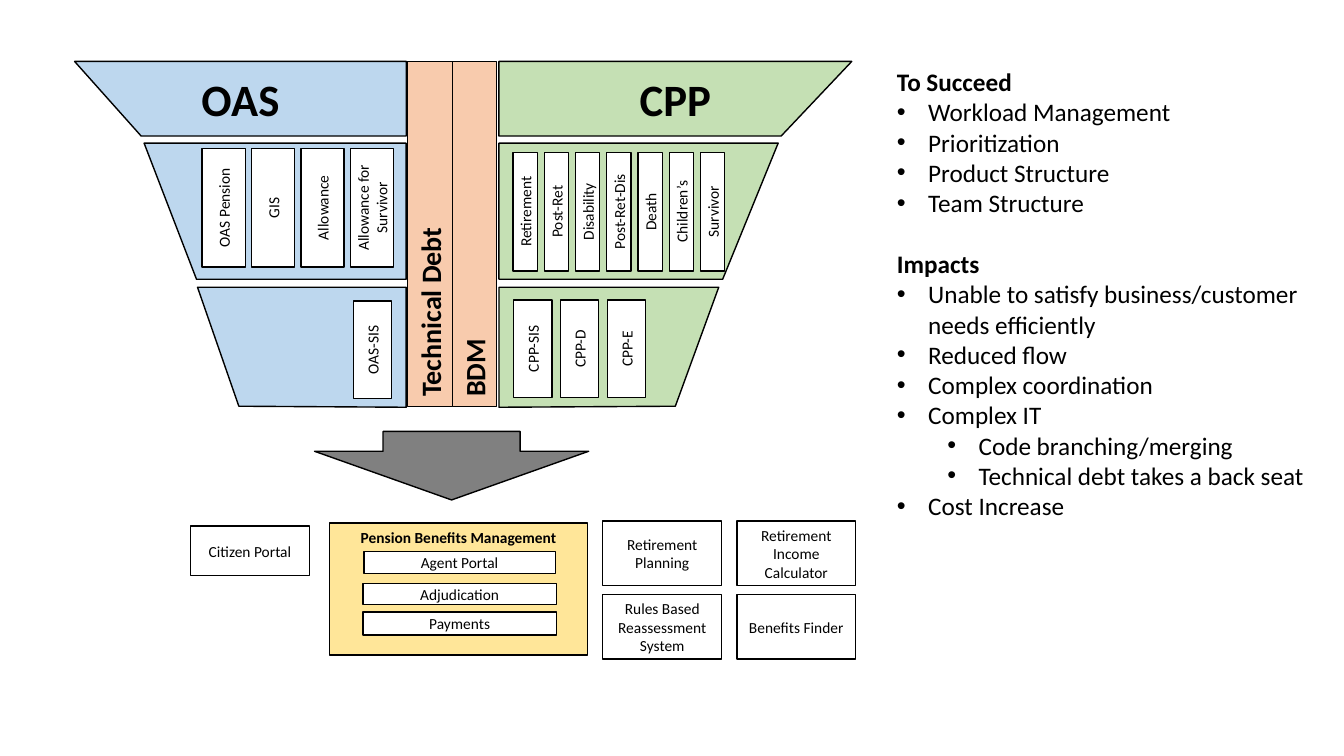
from dataclasses import dataclass

from lxml.etree import SubElement
from pptx import Presentation
from pptx.dml.color import RGBColor
from pptx.enum.shapes import MSO_SHAPE as Shp
from pptx.enum.text import MSO_ANCHOR as Anchor, MSO_AUTO_SIZE as AutoSize, PP_ALIGN as Align
from pptx.oxml.ns import qn
from pptx.util import Emu, Inches, Pt


@dataclass(frozen=True)
class Theme:
    font: str = "Calibri"
    ink: str = "000000"
    paper: str = "FFFFFF"
    oas: str = "BDD7EE"
    cpp: str = "C5E0B4"
    debt: str = "F8CBAD"
    arrow: str = "808080"
    pension: str = "FFE699"
    title: int = 32
    spine: int = 20
    body: int = 18
    label: int = 11


T = Theme()

# Grid: square cells, 133.33 columns by 75 rows
COLS, ROWS = 133.33, 75
CELL = Inches(0.1)


def grid(n: float) -> Emu:
    return Emu(round(n * CELL))


@dataclass(frozen=True)
class Tier:
    points: tuple[tuple[float, float], ...]
    fill: str
    title: str = ""


@dataclass(frozen=True)
class Box:
    text: str
    left: float
    top: float
    width: float
    height: float
    fill: str = T.paper
    bold: bool = False
    anchor: Anchor = Anchor.MIDDLE


@dataclass(frozen=True)
class BarRow:
    """Upright bars with equal steps between their centre lines."""
    labels: tuple[str, ...]
    first: float
    step: float
    middle: float
    length: float
    thickness: float
    fill: str = T.paper
    size: int = T.label
    bold: bool = False
    align: Align = Align.CENTER
    line: float = 1


@dataclass(frozen=True)
class Item:
    text: str
    level: int = 0
    heading: bool = False
    gap: int = 0


TIERS = (
    Tier(((7.4, 6.1), (40.3, 6.1), (40.3, 13.5), (14, 13.5)), T.oas, "OAS"),
    Tier(((14.3, 14.2), (40.3, 14.2), (40.3, 27.7), (19.5, 27.7)), T.oas),
    Tier(((19.6, 28.5), (40.3, 28.5), (40.3, 40.4), (23.7, 40.3)), T.oas),
    Tier(((84.5, 6.1), (49.5, 6.1), (49.5, 13.5), (77.5, 13.5)), T.cpp, "CPP"),
    Tier(((77.2, 14.2), (49.5, 14.2), (49.5, 27.7), (71.7, 27.7)), T.cpp),
    Tier(((71.3, 28.5), (49.5, 28.5), (49.5, 40.4), (67, 40.3)), T.cpp),
)

BAR_ROWS = (
    BarRow(("Technical Debt", "BDM"), 42.65, 4.4, 23.2, 34.3, 4.4,
           T.debt, T.spine, True, Align.LEFT, 0.75),
    BarRow(("OAS Pension", "GIS", "Allowance", "Allowance for Survivor"),
           22.2, 4.9, 20.6, 11.8, 4.3),
    BarRow(("OAS-SIS",), 36.95, 0, 34.7, 9.7, 3.8),
    BarRow(("Retirement", "Post-Ret", "Disability", "Post-Ret-Dis", "Death",
            "Children’s", "Survivor"), 52.1, 3.1, 21, 11.8, 2.4),
    BarRow(("CPP-SIS", "CPP-D", "CPP-E"), 52.85, 4.65, 34.6, 9.7, 3.8),
)

SYSTEMS = (
    ("Retirement Planning", "Retirement Income Calculator"),
    ("Rules Based Reassessment System", "Benefits Finder"),
)

BOXES = (
    Box("Citizen Portal", 18.9, 52.2, 11.8, 4.9),
    Box("Pension Benefits Management", 32.7, 51.9, 25.6, 13.1, T.pension, True, Anchor.TOP),
    Box("Agent Portal", 36.1, 54.7, 19, 2.2),
    Box("Adjudication", 36, 57.9, 19.2, 2.1),
    Box("Payments", 36, 60.7, 19.2, 2.3),
    *(Box(text, 59.8 + 13.3 * c, 51.7 + 7.3 * r, 11.8, 6.4)
      for r, names in enumerate(SYSTEMS) for c, text in enumerate(names)),
)

ITEMS = (
    Item("To Succeed", heading=True),
    Item("Workload Management"),
    Item("Prioritization"),
    Item("Product Structure"),
    Item("Team Structure"),
    Item("Impacts", heading=True, gap=22),
    Item("Unable to satisfy business/customer needs efficiently"),
    Item("Reduced flow"),
    Item("Complex coordination"),
    Item("Complex IT"),
    Item("Code branching/merging", level=1),
    Item("Technical debt takes a back seat", level=1),
    Item("Cost Increase"),
)


def paint(s, fill: str, line: float = 1) -> None:
    s.shadow.inherit = False
    s.fill.solid()
    s.fill.fore_color.rgb = RGBColor.from_string(fill)
    s.line.color.rgb = RGBColor.from_string(T.ink)
    s.line.width = Pt(line)


def style(p, size: int, bold: bool = False, align: Align = Align.LEFT) -> None:
    p.alignment = align
    for r in p.runs:
        r.font.name, r.font.size, r.font.bold = T.font, Pt(size), bold
        r.font.color.rgb = RGBColor.from_string(T.ink)


def write(s, text: str, size: int, bold: bool = False, align: Align = Align.CENTER,
          anchor: Anchor = Anchor.MIDDLE) -> None:
    tf = s.text_frame
    tf.text = text
    tf.word_wrap = True
    tf.vertical_anchor = anchor
    style(tf.paragraphs[0], size, bold, align)


def draw_tier(shapes, tier: Tier) -> None:
    start, *rest = [(grid(x), grid(y)) for x, y in tier.points]
    outline = shapes.build_freeform(*start)
    outline.add_line_segments(rest, close=True)
    s = outline.convert_to_shape()
    paint(s, tier.fill)
    if tier.title:
        write(s, tier.title, T.title, True)


def draw_bars(shapes, row: BarRow) -> None:
    for i, label in enumerate(row.labels):
        left = row.first + i * row.step - row.length / 2
        s = shapes.add_shape(Shp.RECTANGLE, grid(left), grid(row.middle - row.thickness / 2),
                             grid(row.length), grid(row.thickness))
        s.rotation = 270
        paint(s, row.fill, row.line)
        write(s, label, row.size, row.bold, row.align)


def draw_box(shapes, box: Box) -> None:
    s = shapes.add_shape(Shp.RECTANGLE, grid(box.left), grid(box.top),
                         grid(box.width), grid(box.height))
    paint(s, box.fill)
    write(s, box.text, T.label, box.bold, anchor=box.anchor)


def draw_arrow(shapes) -> None:
    s = shapes.add_shape(Shp.DOWN_ARROW, grid(31.2), grid(42.8), grid(27.2), grid(6.8))
    s.adjustments[0], s.adjustments[1] = 0.5, 0.71
    paint(s, T.arrow)


def add_bullet(p, level: int) -> None:
    p.level = level
    pPr = p._p.get_or_add_pPr()
    pPr.set("marL", str(grid(3.1 + 5 * level)))
    pPr.set("indent", str(grid(-3.1)))
    SubElement(pPr, qn("a:buFont")).set("typeface", "Arial")
    SubElement(pPr, qn("a:buChar")).set("char", "•")


def draw_list(shapes, items: tuple[Item, ...]) -> None:
    tf = shapes.add_textbox(grid(88), grid(6.1), grid(43.8), grid(46.4)).text_frame
    tf.word_wrap = True
    tf.auto_size = AutoSize.SHAPE_TO_FIT_TEXT
    for i, item in enumerate(items):
        p = tf.add_paragraph() if i else tf.paragraphs[0]
        p.text = item.text
        if not item.heading:
            add_bullet(p, item.level)
        if item.gap:
            p.space_before = Pt(item.gap)
        style(p, T.body, item.heading)


def main() -> None:
    prs = Presentation()
    prs.slide_width, prs.slide_height = grid(COLS), grid(ROWS)
    shapes = prs.slides.add_slide(prs.slide_layouts[6]).shapes

    # Funnel of the two programs
    for tier in TIERS:
        draw_tier(shapes, tier)
    for row in BAR_ROWS:
        draw_bars(shapes, row)

    # Target systems
    draw_arrow(shapes)
    for box in BOXES:
        draw_box(shapes, box)

    # Success factors and impacts
    draw_list(shapes, ITEMS)
    prs.save("out.pptx")


if __name__ == "__main__":
    main()
